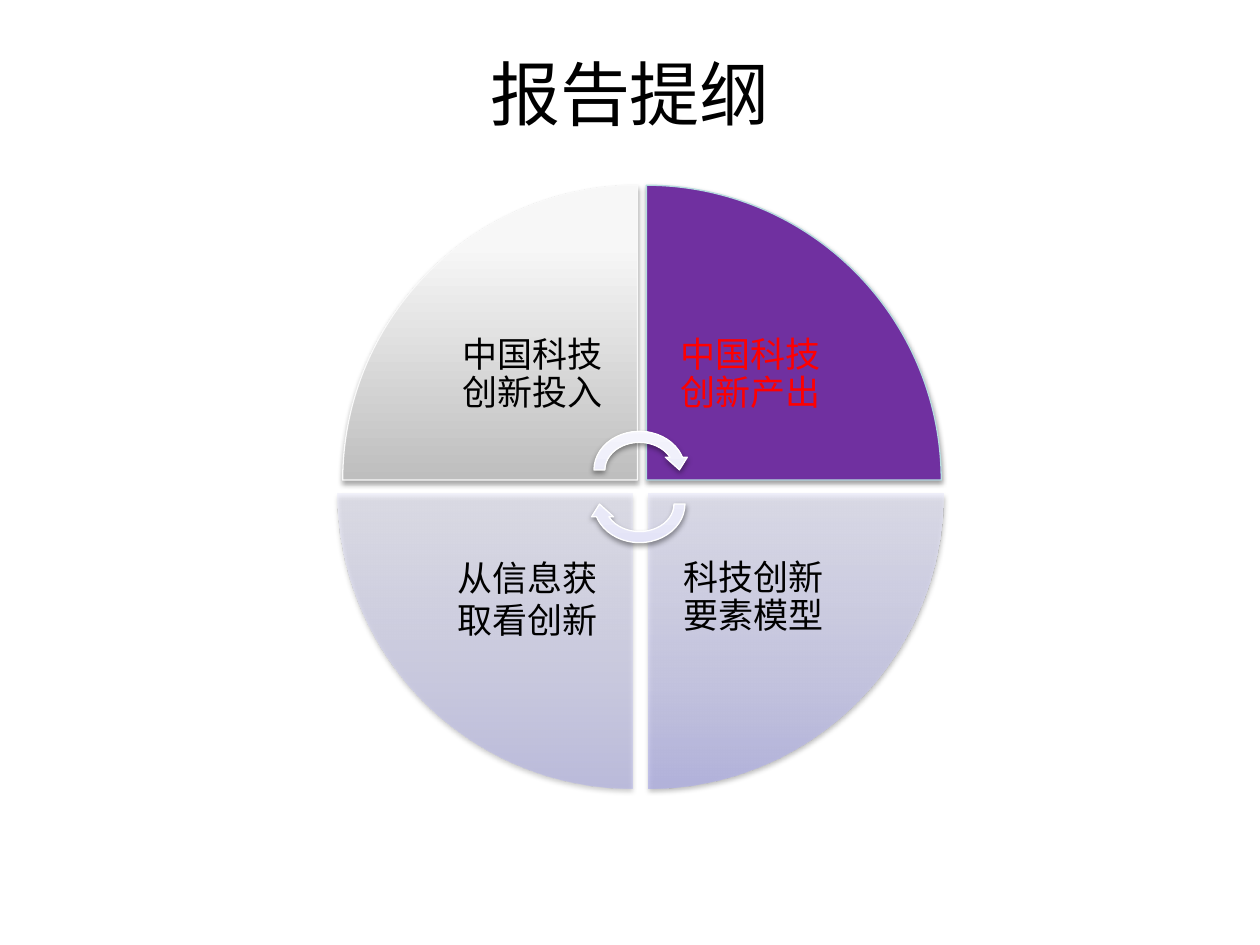
import pptx
import pptx.dml.color
import pptx.enum.shapes
import pptx.enum.text
import pptx.oxml
import pptx.oxml.ns
import pptx.util
from lxml import etree

Inches = pptx.util.Inches
Pt = pptx.util.Pt
MSO_SHAPE = pptx.enum.shapes.MSO_SHAPE
NS = pptx.oxml.ns.nsdecls("a")


def rgb(value):
    return pptx.dml.color.RGBColor.from_string(value)


class OutlineSlide:
    font = "Arial"
    ink = "000000"

    def __init__(self, prs):
        self.s = prs.slides.add_slide(prs.slide_layouts[6])

    def text(self, box, text, size=20, color=ink, inset=0.16, spacing=0.9):
        tf = self.s.shapes.add_textbox(*map(Inches, box)).text_frame
        margins = ("margin_left", "margin_top", "margin_right", "margin_bottom")
        frame = dict.fromkeys(margins, Inches(inset))
        frame.update(word_wrap=True, vertical_anchor=pptx.enum.text.MSO_ANCHOR.MIDDLE)
        for name, value in frame.items():
            setattr(tf, name, value)
        p = tf.paragraphs[0]
        for name, value in {"alignment": pptx.enum.text.PP_ALIGN.CENTER,
                            "line_spacing": spacing}.items():
            setattr(p, name, value)
        r = p.add_run()
        r.text = text
        for name, value in {"name": self.font, "size": Pt(size)}.items():
            setattr(r.font, name, value)
        r.font.color.rgb = rgb(color)

    def shape(self, kind, box, fill, line=None, rotation=0, opacity=100, shadow=(38, 1.6)):
        sp = self.s.shapes.add_shape(kind, *map(Inches, box))
        sp.rotation = rotation
        if line:
            sp.line.color.rgb = rgb(line)
            sp.line.width = Pt(0.75)
        else:
            sp.line.fill.background()
        if isinstance(fill, str):
            sp.fill.solid()
            sp.fill.fore_color.rgb = rgb(fill)
        else:
            self.gradient(sp, fill, opacity)
        self.shadow(sp, *shadow)

    def gradient(self, sp, stops, opacity):
        gs = "".join(
            f'<a:gs pos="{pos * 1000}"><a:srgbClr val="{color}">'
            f'<a:alpha val="{opacity * 1000}"/></a:srgbClr></a:gs>'
            for pos, color in stops)
        fill = pptx.oxml.parse_xml(
            f'<a:gradFill {NS} rotWithShape="0"><a:gsLst>{gs}</a:gsLst>'
            '<a:lin ang="16200000" scaled="0"/></a:gradFill>')
        sp._element.spPr.find(pptx.oxml.ns.qn("a:prstGeom")).addnext(fill)

    def shadow(self, sp, opacity, distance):
        sp.shadow.inherit = False
        effects = sp._element.spPr.find(pptx.oxml.ns.qn("a:effectLst"))
        outer = etree.SubElement(
            effects, pptx.oxml.ns.qn("a:outerShdw"), blurRad=str(Pt(3.1)),
            dist=str(Pt(distance)), dir="5400000", rotWithShape="0")
        color = etree.SubElement(outer, pptx.oxml.ns.qn("a:srgbClr"), val="000000")
        etree.SubElement(color, pptx.oxml.ns.qn("a:alpha"), val=str(opacity * 1000))


def main():
    prs = pptx.Presentation()
    prs.slide_width, prs.slide_height = Inches(10), Inches(7.5)
    slide = OutlineSlide(prs)
    slide.text((0.5, 0.3, 9, 0.87), "报告提纲", size=40, inset=0.05, spacing=1.0)

    gray = [(0, "BEBEBE"), (80, "F7F7F7"), (100, "F8F8F8")]
    lilac = [(0, "A9A9E9"), (35, "C4C4EF"), (100, "E8E8FA")]
    pale = [(0, "E1E1F6"), (35, "E9E9F8"), (100, "F6F6FD")]
    wedge, label = 2.34, 1.66
    inner = wedge - label
    quadrants = [
        (2.72, 1.47, inner, inner, "中国科技创新投入", {},
         dict(fill=gray, line="F9F9F9", shadow=(35, 1.8))),
        (5.13, 1.47, 0, inner, "中国科技创新产出", dict(color="FF0000"),
         dict(fill="7030A0", line="B6DCDF")),
        (5.15, 3.92, 0, 0, "科技创新要素模型", {}, dict(fill=lilac, opacity=63)),
        (2.68, 3.92, inner, 0, "从信息获取看创新", dict(spacing=1.0),
         dict(fill=lilac, opacity=50)),
    ]
    for i, (x, y, dx, dy, text, text_style, style) in enumerate(quadrants):
        slide.shape(MSO_SHAPE.PIE_WEDGE, (x, y, wedge, wedge), rotation=90 * i, **style)
        slide.text((x + dx, y + dy, label, label), text, **text_style)

    for y, rotation in ((3.38, 0), (3.65, 180)):
        slide.shape(MSO_SHAPE.CIRCULAR_ARROW, (4.67, y, 0.81, 0.7), pale,
                    line="FFFFFF", rotation=rotation)
    prs.save("out.pptx")


if __name__ == "__main__":
    main()
